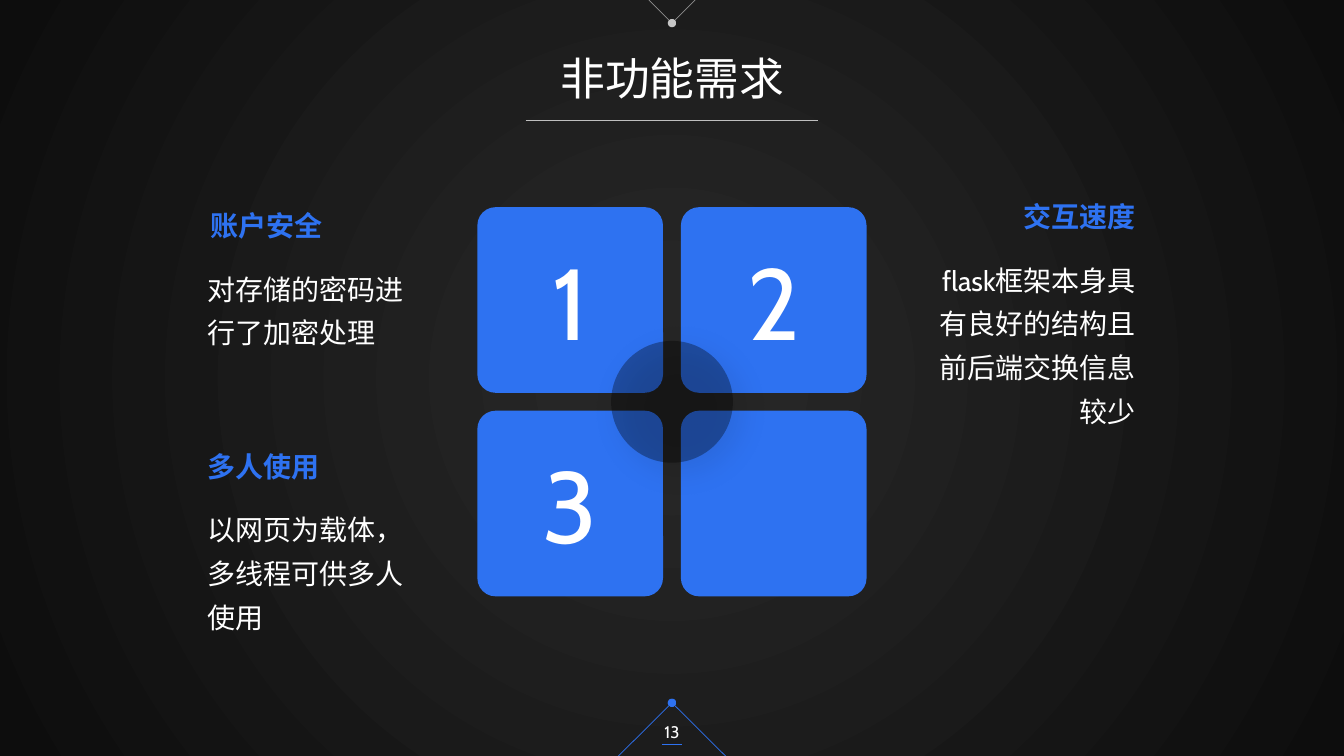
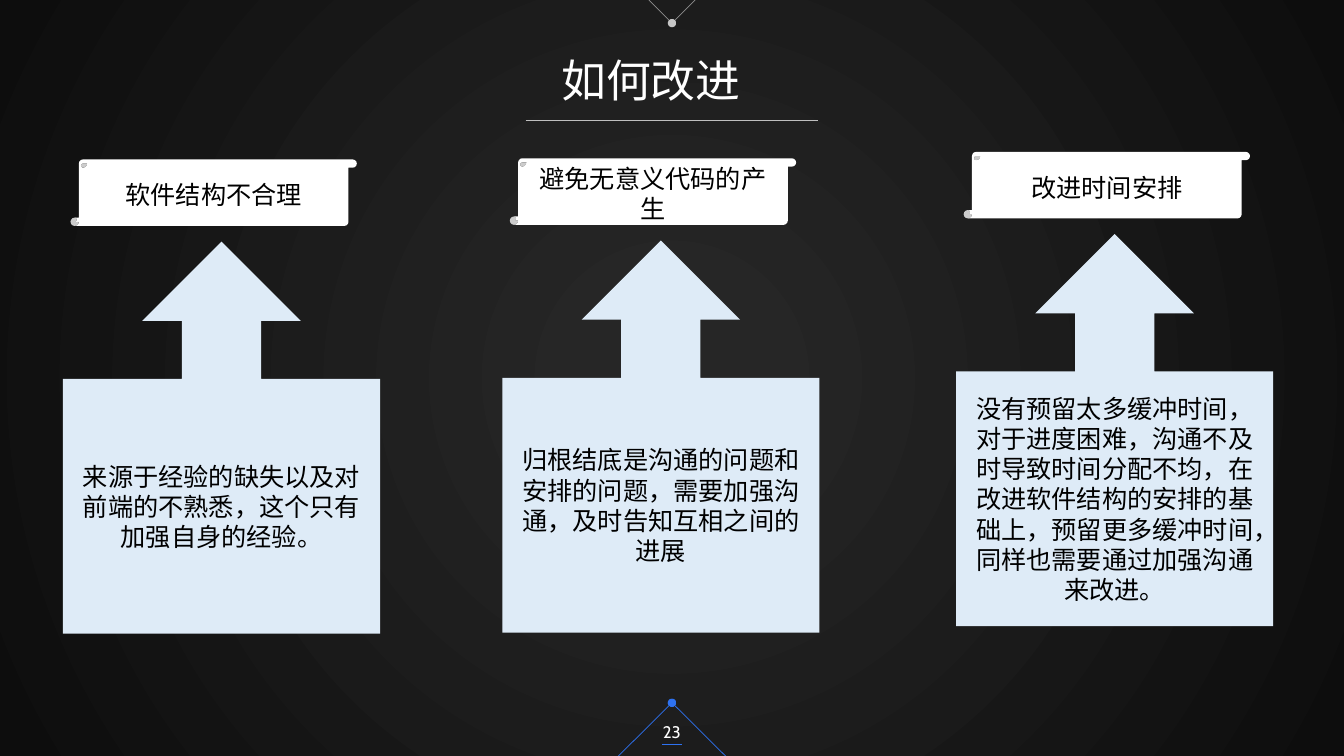
import pptx
import pptx.dml.color
import pptx.enum.dml
import pptx.enum.lang
import pptx.enum.shapes
import pptx.enum.text
import pptx.oxml
import pptx.oxml.ns
import pptx.util

Pt = pptx.util.Pt
qn = pptx.oxml.ns.qn
Shape = pptx.enum.shapes.MSO_SHAPE
Align = pptx.enum.text.PP_ALIGN
Anchor = pptx.enum.text.MSO_ANCHOR

WIDTH, HEIGHT = 960, 540
CENTER = WIDTH / 2
BLUE, PALE_BLUE = "2E72F1", "DEEBF7"
WHITE, BLACK, GRAY = "FFFFFF", "000000", "BFBFBF"
DARK_INNER, DARK_OUTER = "262626", "0D0D0D"
FONT, SCROLL_FONT = "Cabin", "Noto Sans CJK JP"


def color(hex_string):
    return pptx.dml.color.RGBColor.from_string(hex_string)


def add_xml(parent, tag, **attributes):
    child = pptx.oxml.parse_xml(f"<a:{tag} {pptx.oxml.ns.nsdecls('a')}/>")
    for name, value in attributes.items():
        child.set(name, str(value))
    parent.append(child)
    return child


def set_opacity(fill_parent, percent):
    rgb = fill_parent.find(".//" + qn("a:srgbClr"))
    add_xml(rgb, "alpha", val=percent * 1000)


def write(shape, text, size, hex_string, font=FONT, align=Align.CENTER,
          anchor=Anchor.MIDDLE, bold=None, spacing=None, wrap=True):
    frame = shape.text_frame
    frame.word_wrap = wrap
    frame.vertical_anchor = anchor
    para = frame.paragraphs[0]
    para.alignment = align
    if spacing:
        para.line_spacing = spacing
    span = para.add_run()
    span.text = text
    span.font.size = Pt(size)
    span.font.name = font
    span.font.bold = bold
    span.font.color.rgb = color(hex_string)
    span.font.language_id = pptx.enum.lang.MSO_LANGUAGE_ID.SIMPLIFIED_CHINESE
    add_xml(span.font._element, "ea", typeface=FONT)


def add_text(page, left, top, width, height, text, size, hex_string, **style):
    box = page.shapes.add_textbox(Pt(left), Pt(top), Pt(width), Pt(height))
    write(box, text, size, hex_string, **style)
    return box


def add_shape(page, kind, left, top, width, height, hex_string):
    shape = page.shapes.add_shape(kind, Pt(left), Pt(top), Pt(width), Pt(height))
    shape.shadow.inherit = False
    shape.fill.solid()
    shape.fill.fore_color.rgb = color(hex_string)
    shape.line.fill.background()
    return shape


def add_line(page, start, end, hex_string, opacity=None, dot=False):
    line = page.shapes.add_connector(
        pptx.enum.shapes.MSO_CONNECTOR.STRAIGHT,
        Pt(start[0]), Pt(start[1]), Pt(end[0]), Pt(end[1]))
    line.line.width = Pt(0.5)
    line.line.color.rgb = color(hex_string)
    properties = line._element.spPr
    if opacity:
        set_opacity(properties, opacity)
    if dot:
        add_xml(properties.find(qn("a:ln")), "tailEnd", type="oval")
    add_xml(properties, "effectLst")


def add_backdrop(page):
    backdrop = add_shape(page, Shape.RECTANGLE, 0, 0, WIDTH, HEIGHT, DARK_OUTER)
    backdrop.fill.gradient()
    stops = zip(backdrop.fill.gradient_stops, (DARK_INNER, DARK_OUTER), (0.11, 1))
    for stop, hex_string, position in stops:
        stop.color.rgb = color(hex_string)
        stop.position = position
    gradient = backdrop._element.spPr.find(qn("a:gradFill"))
    gradient.remove(gradient.find(qn("a:lin")))
    circle = add_xml(gradient, "path", path="circle")
    add_xml(circle, "fillToRect", l=50000, t=50000, r=50000, b=50000)


def add_chevron(page, apex, edge, half_width, hex_string, opacity=None):
    for side in (-1, 1):
        add_line(page, (CENTER + side * half_width, edge), (CENTER, apex),
                 hex_string, opacity, dot=True)


def add_page(deck, number, title, title_box, title_wrap):
    page = deck.slides.add_slide(deck.slide_layouts[6])
    add_backdrop(page)
    # Title with its rule and the ornament above
    add_line(page, (CENTER - 104.5, 86), (CENTER + 104.5, 86), GRAY)
    add_chevron(page, 16.5, 0, 16.5, WHITE, opacity=50)
    box = add_text(page, *title_box, title, 32, WHITE, anchor=Anchor.TOP,
                   wrap=title_wrap)
    box.text_frame.auto_size = pptx.enum.text.MSO_AUTO_SIZE.SHAPE_TO_FIT_TEXT
    # Page number under its roof
    add_chevron(page, 502, HEIGHT, 38.25, BLUE)
    add_line(page, (CENTER - 7, 531.5), (CENTER + 7, 531.5), BLUE)
    add_text(page, CENTER - 25, 508.5, 50, 28.8, number, 12, WHITE)
    return page


def add_tiles(page, left, top, labels):
    size, pitch, hub_size = 132.6, 145.4, 87
    for index, label in enumerate(labels):
        row, column = divmod(index, 2)
        tile = add_shape(page, Shape.ROUNDED_RECTANGLE, left + column * pitch,
                         top + row * pitch, size, size, BLUE)
        tile.adjustments[0] = 0.098
        if label:
            write(tile, label, 72, WHITE)
    # Translucent hub over the inner corners
    inset = (size + pitch - hub_size) / 2
    hub = add_shape(page, Shape.OVAL, left + inset, top + inset,
                    hub_size, hub_size, BLACK)
    properties = hub._element.spPr
    set_opacity(properties.find(qn("a:solidFill")), 33)
    shadow = add_xml(properties.find(qn("a:effectLst")), "outerShdw",
                     blurRad=Pt(23), dist=Pt(9), dir=45 * 60000,
                     algn="tl", rotWithShape=0)
    add_xml(add_xml(shadow, "srgbClr", val=BLACK), "alpha", val=25000)


def add_note(page, left, top, heading, body, body_height, align, shift=0):
    width = 172
    style = {"align": align, "anchor": Anchor.TOP}
    add_text(page, left + shift, top, width, 31.7, heading, 20, BLUE,
             bold=True, **style)
    add_text(page, left, top + 38.2, width, body_height, body, 20, WHITE,
             spacing=1.3, **style)


def add_improvement(page, left, top, heading, body):
    scroll = add_shape(page, Shape.VERTICAL_SCROLL, left + 5.4, top - 58.7,
                       204.5, 47.5, WHITE)
    write(scroll, heading, 18, BLACK, font=SCROLL_FONT)
    callout = add_shape(page, Shape.UP_ARROW_CALLOUT, left, top, 226.5, 280,
                        PALE_BLUE)
    write(callout, body, 18, BLACK)


def build_requirements(deck):
    page = add_page(deck, "13", "非功能需求", (391, 32.4, 178.5, 46), False)
    add_tiles(page, 341, 148, ("1", "2", "3", ""))
    add_note(page, 646.5, 139, "交互速度",
             "flask框架本身具有良好的结构且前后端交换信息较少", 130, Align.RIGHT)
    add_note(page, 141, 145.4, "账户安全",
             "对存储的密码进行了加密处理", 67, Align.LEFT, shift=2)
    add_note(page, 141, 317.5, "多人使用",
             "以网页为载体，多线程可供多人使用", 98.6, Align.LEFT)


def build_improvements(deck):
    page = add_page(deck, "23", "如何改进", (378, 33.8, 174, 46), True)
    improvements = (
        (45, 172.6, "软件结构不合理",
         "来源于经验的缺失以及对前端的不熟悉，这个只有加强自身的经验。"),
        (683, 167.2, "改进时间安排",
         "没有预留太多缓冲时间，对于进度困难，沟通不及时导致时间分配不均，"
         "在改进软件结构的安排的基础上，预留更多缓冲时间，"
         "同样也需要通过加强沟通来改进。"),
        (358.8, 171.8, "避免无意义代码的产生",
         "归根结底是沟通的问题和安排的问题，需要加强沟通，"
         "及时告知互相之间的进展"),
    )
    for improvement in improvements:
        add_improvement(page, *improvement)


def main():
    deck = pptx.Presentation()
    deck.slide_width, deck.slide_height = Pt(WIDTH), Pt(HEIGHT)
    build_requirements(deck)
    build_improvements(deck)
    deck.save("out.pptx")


if __name__ == "__main__":
    main()
